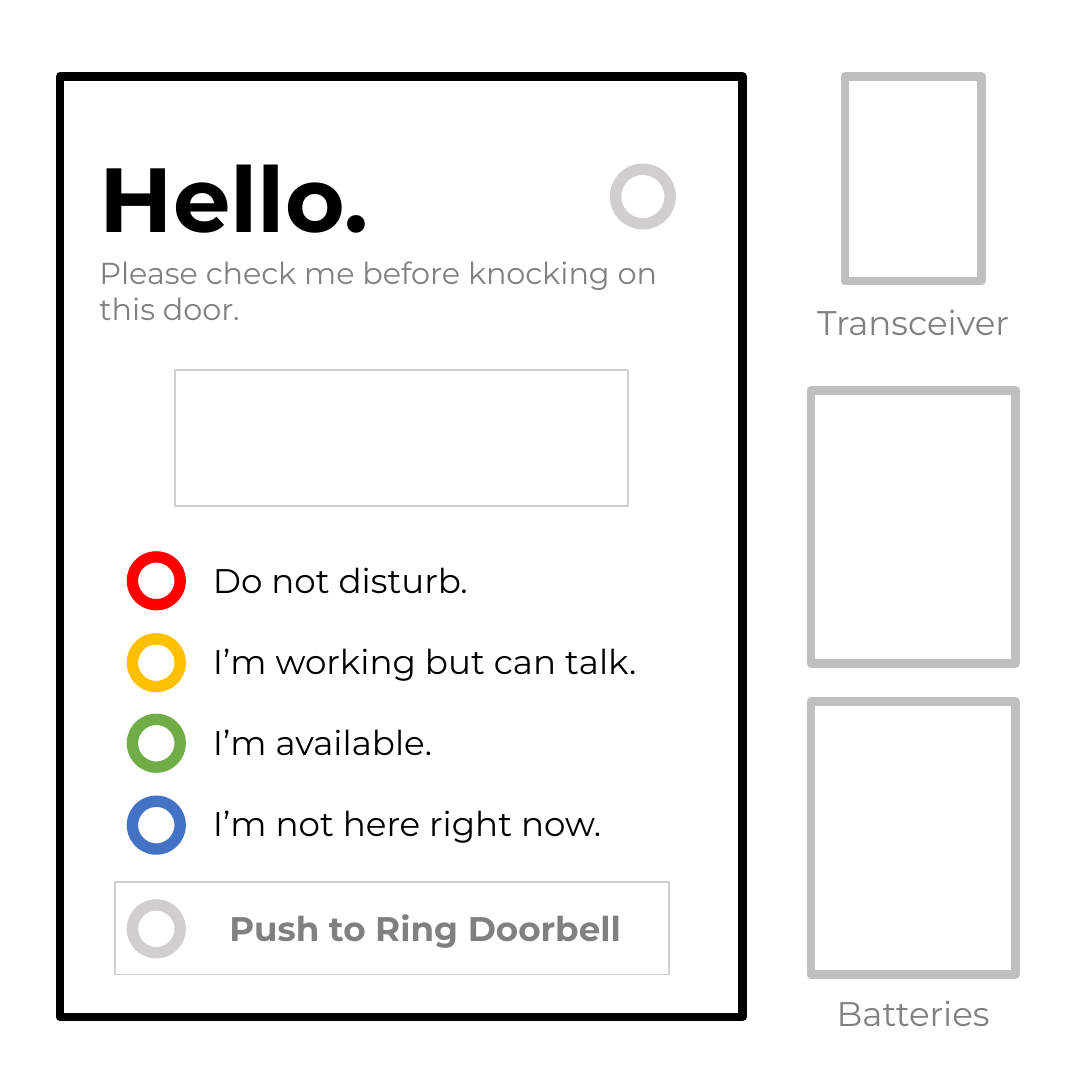
from pptx import Presentation
from pptx import util as u
from pptx.dml import color
from pptx.enum import shapes, text

PX = u.Inches(1) // 100
BLACK, GREY, SILVER, PALE, WHITE = "000000", "808080", "BFBFBF", "D0CECE", "FFFFFF"
STATUSES = [
    ("Do not disturb.", "FF0000"),
    ("I’m working but can talk.", "FFC000"),
    ("I’m available.", "70AD47"),
    ("I’m not here right now.", "4472C4"),
]


def px(*lengths):
    return [length * PX for length in lengths]


def paint(color_format, value):
    color_format.rgb = color.RGBColor.from_string(value)


def place(shape, box):
    shape.left, shape.top, shape.width, shape.height = px(*box)


def write(shape, lines, size=18, ink=BLACK, bold=False, align=text.PP_ALIGN.LEFT, gap=0):
    frame = shape.text_frame
    frame.word_wrap = True
    frame.auto_size = text.MSO_AUTO_SIZE.NONE
    frame.vertical_anchor = text.MSO_ANCHOR.TOP
    frame.text = lines
    for paragraph in frame.paragraphs:
        paragraph.alignment = align
        paragraph.line_spacing = 1.0
        paragraph.space_before = u.Pt(0)
        paragraph.space_after = u.Pt(gap)
        font = paragraph.runs[0].font
        font.name, font.size, font.bold = "Montserrat", u.Pt(size), bold
        paint(font.color, ink)


def add_label(slide, box, words, **style):
    write(slide.shapes.add_textbox(*px(*box)), words, **style)


def remove_bullets(shape):
    for paragraph in shape.text_frame.paragraphs:
        properties = paragraph._p.get_or_add_pPr()
        properties.set("marL", "0")
        properties.set("indent", "0")
        properties.append(properties.makeelement(
            "{http://schemas.openxmlformats.org/drawingml/2006/main}buNone", {}))


def add_outline(slide, kind, box, line, weight, fill=None):
    shape = slide.shapes.add_shape(kind, *px(*box))
    shape.shadow.inherit = False
    if fill:
        shape.fill.solid()
        paint(shape.fill.fore_color, fill)
    else:
        shape.fill.background()
    paint(shape.line.color, line)
    shape.line.width = u.Pt(weight)


def add_frame(slide, box, line, weight, fill=None):
    add_outline(slide, shapes.MSO_SHAPE.RECTANGLE, box, line, weight, fill)


def add_ring(slide, left, top, size, line):
    add_outline(slide, shapes.MSO_SHAPE.OVAL, (left, top, size, size), line, 6, WHITE)


def add_door_sign(slide):
    title, statuses = slide.placeholders
    place(title, (63, 99, 461, 91))
    write(title, "Hello.", size=48, bold=True)
    place(statuses, (146, 405, 343, 219))
    write(statuses, "\n".join(words for words, _ in STATUSES), gap=21)
    remove_bullets(statuses)

    add_label(slide, (63, 181, 461, 64),
              "Please check me before knocking on this door.", size=16, ink=GREY)
    add_ring(slide, 451, 124, 40, PALE)
    add_frame(slide, (128, 271, 332, 100), PALE, 1)
    for row, (_, hue) in enumerate(STATUSES):
        add_ring(slide, 97, 408 + round(row * 59.7), 35, hue)

    add_ring(slide, 97, 663, 35, PALE)
    add_label(slide, (150, 660, 323, 40), "Push to Ring Doorbell",
              ink=GREY, bold=True, align=text.PP_ALIGN.CENTER)
    add_frame(slide, (84, 646, 406, 68), PALE, 1)
    add_frame(slide, (44, 56, 500, 689), BLACK, 4.5)


def add_components(slide):
    for box in ((619, 56, 100, 150), (594, 286, 150, 200), (594, 514, 150, 200)):
        add_frame(slide, box, SILVER, 4.5, WHITE)
    for top, words in ((216, "Transceiver"), (722, "Batteries")):
        add_label(slide, (587, top, 164, 40), words,
                  ink=GREY, align=text.PP_ALIGN.CENTER)


def main():
    presentation = Presentation()
    presentation.slide_width, presentation.slide_height = px(800, 800)
    slide = presentation.slides.add_slide(presentation.slide_layouts[1])
    add_door_sign(slide)
    add_components(slide)
    presentation.save("out.pptx")


if __name__ == "__main__":
    main()
